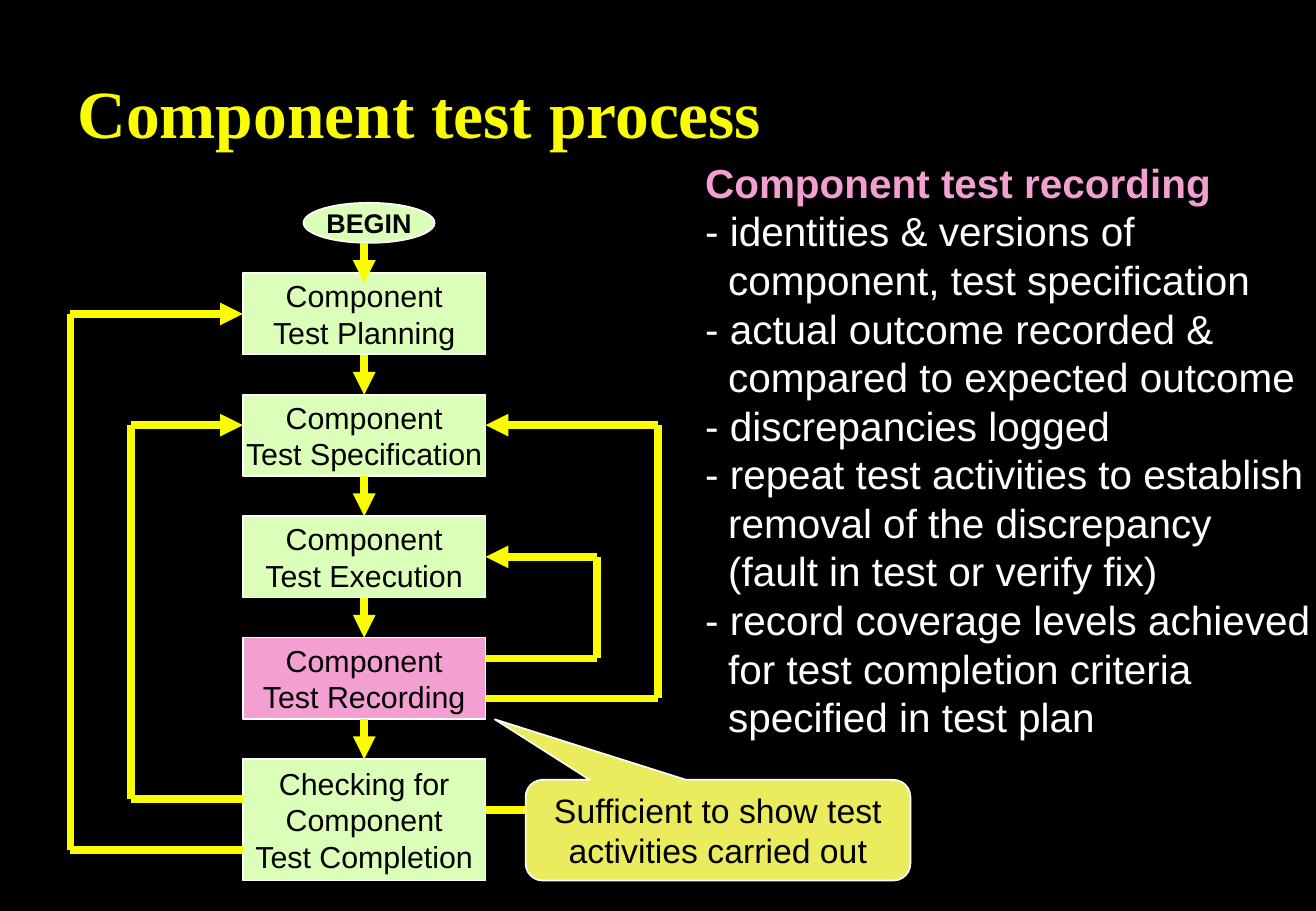
from dataclasses import dataclass

from lxml.etree import SubElement
from pptx import Presentation
from pptx.dml.color import RGBColor
from pptx.enum.shapes import MSO_CONNECTOR, MSO_SHAPE
from pptx.enum.text import MSO_ANCHOR, PP_ALIGN
from pptx.oxml.ns import qn
from pptx.shapes.autoshape import Shape
from pptx.shapes.connector import Connector
from pptx.util import Inches, Pt

BLACK, WHITE, YELLOW = "000000", "FFFFFF", "FAFD00"
GREEN, PINK, GOLD = "DBFFB8", "F39FD1", "EAEC5E"
LEFT, RIGHT, MID = 2, 4, 3
TOP, PITCH, HIGH = 2.25, 1, 0.67
HANG = 0.19


@dataclass
class Step:
    text: str
    fill: str = GREEN
    high: float = HIGH


@dataclass
class Loop:
    """A path out of one step, along a lane, back into another step."""
    side: float
    lane: float
    start: float
    end: float
    joined: int | None = None


STEPS = [
    Step("Component\nTest Planning"),
    Step("Component\nTest Specification"),
    Step("Component\nTest Execution"),
    Step("Component\nTest Recording", PINK),
    Step("Checking for\nComponent\nTest Completion", high=1),
]
LOOPS = [
    Loop(LEFT, 0.58, 7, TOP + HIGH / 2, joined=0),
    Loop(LEFT, 1.08, 6.58, 3.5),
    Loop(RIGHT, 4.92, 5.42, TOP + 2 * PITCH + HIGH / 2, joined=2),
    Loop(RIGHT, 5.42, 5.75, 3.5),
]
NOTES = [
    "Component test recording",
    "- identities & versions of\vcomponent, test specification",
    "- actual outcome recorded &\vcompared to expected outcome",
    "- discrepancies logged",
    "- repeat test activities to establish\vremoval of the discrepancy"
    "\v(fault in test or verify fix)",
    "- record coverage levels achieved\vfor test completion criteria"
    "\vspecified in test plan",
]

deck = Presentation()
deck.slide_width, deck.slide_height = Inches(10.84), Inches(7.5)
slide = deck.slides.add_slide(deck.slide_layouts[6])


def rgb(code: str) -> RGBColor:
    return RGBColor.from_string(code)


def style(shape: Shape, text: str, size: float, color: str = BLACK,
          bold: bool = False, face: str = "Arial",
          align: PP_ALIGN = PP_ALIGN.CENTER) -> None:
    """Fill the shape with text and format every run alike."""
    frame = shape.text_frame
    frame.text = text
    frame.word_wrap = False
    frame.vertical_anchor = MSO_ANCHOR.MIDDLE
    for para in frame.paragraphs:
        para.alignment = align
        para.line_spacing = Pt(size * 1.2)
        for run in para.runs:
            font = run.font
            font.name, font.size, font.bold = face, Pt(size), bold
            font.color.rgb = rgb(color)


def block(kind: MSO_SHAPE, x: float, y: float, wide: float, high: float,
          fill: str) -> Shape:
    shape = slide.shapes.add_shape(
        kind, Inches(x), Inches(y), Inches(wide), Inches(high))
    shape.shadow.inherit = False
    shape.fill.solid()
    shape.fill.fore_color.rgb = rgb(fill)
    shape.line.color.rgb = rgb(WHITE)
    shape.line.width = Pt(1)
    return shape


def label(x: float, y: float, wide: float, high: float) -> Shape:
    return slide.shapes.add_textbox(
        Inches(x), Inches(y), Inches(wide), Inches(high))


def link(x1: float, y1: float, x2: float, y2: float,
         arrow: bool = False) -> Connector:
    line = slide.shapes.add_connector(
        MSO_CONNECTOR.STRAIGHT, Inches(x1), Inches(y1), Inches(x2), Inches(y2))
    line.line.color.rgb = rgb(YELLOW)
    line.line.width = Pt(4.5)
    if arrow:
        SubElement(line.line._get_or_add_ln(), qn("a:tailEnd"), type="triangle")
    SubElement(line._element.spPr, qn("a:effectLst"))
    return line


def draw_steps() -> list[Shape]:
    boxes = []
    for row, step in enumerate(STEPS):
        box = block(MSO_SHAPE.RECTANGLE, LEFT, TOP + row * PITCH,
                    RIGHT - LEFT, step.high, step.fill)
        style(box, step.text, 18)
        boxes.append(box)
    return boxes


def draw_loop(loop: Loop, boxes: list[Shape]) -> None:
    link(loop.side, loop.start, loop.lane, loop.start)
    link(loop.lane, loop.start, loop.lane, loop.end)
    last = link(loop.lane, loop.end, loop.side, loop.end, arrow=True)
    if loop.joined is not None:
        last.end_connect(boxes[loop.joined], 1 if loop.side == LEFT else 3)


def draw_flow(boxes: list[Shape]) -> None:
    for row, (upper, lower) in enumerate(zip(boxes, boxes[1:])):
        y = TOP + row * PITCH
        line = link(MID, y + HIGH, MID, y + PITCH, arrow=True)
        line.begin_connect(upper, 2)
        line.end_connect(lower, 0)


def draw_notes() -> None:
    notes = label(5.71, 1.25, 5.13, 4.9)
    style(notes, "\n".join(NOTES), 24, WHITE, align=PP_ALIGN.LEFT)
    frame = notes.text_frame
    frame.vertical_anchor = MSO_ANCHOR.TOP
    frame.word_wrap = True
    frame.margin_right = 0
    head, *items = frame.paragraphs
    head.runs[0].font.bold = True
    head.runs[0].font.color.rgb = rgb(PINK)
    for item in items:
        props = item._p.get_or_add_pPr()
        props.set("marL", str(Inches(HANG)))
        props.set("indent", str(-Inches(HANG)))


def main() -> None:
    back = slide.background.fill
    back.solid()
    back.fore_color.rgb = rgb(BLACK)

    title = label(0.54, 0.58, 9.21, 0.67)
    style(title, "Component test process", 40, YELLOW, True,
          "Times New Roman", PP_ALIGN.LEFT)
    title.text_frame.word_wrap = True

    boxes = draw_steps()
    for loop in LOOPS:
        draw_loop(loop, boxes)
    draw_flow(boxes)

    begin = block(MSO_SHAPE.OVAL, 2.5, 1.67, 1.08, 0.33, GREEN)
    style(begin, "BEGIN", 16, bold=True)
    link(MID, 2, MID, 2.33, arrow=True)
    link(RIGHT, 6.67, 4.4, 6.67)
    draw_notes()

    callout = block(MSO_SHAPE.ROUNDED_RECTANGULAR_CALLOUT,
                    4.33, 6.42, 3.17, 0.83, GOLD)
    for spot, value in enumerate((-0.58, -1.1, 0.17)):
        callout.adjustments[spot] = value
    style(callout, "Sufficient to show test\nactivities carried out", 20)

    deck.save("out.pptx")


if __name__ == "__main__":
    main()
